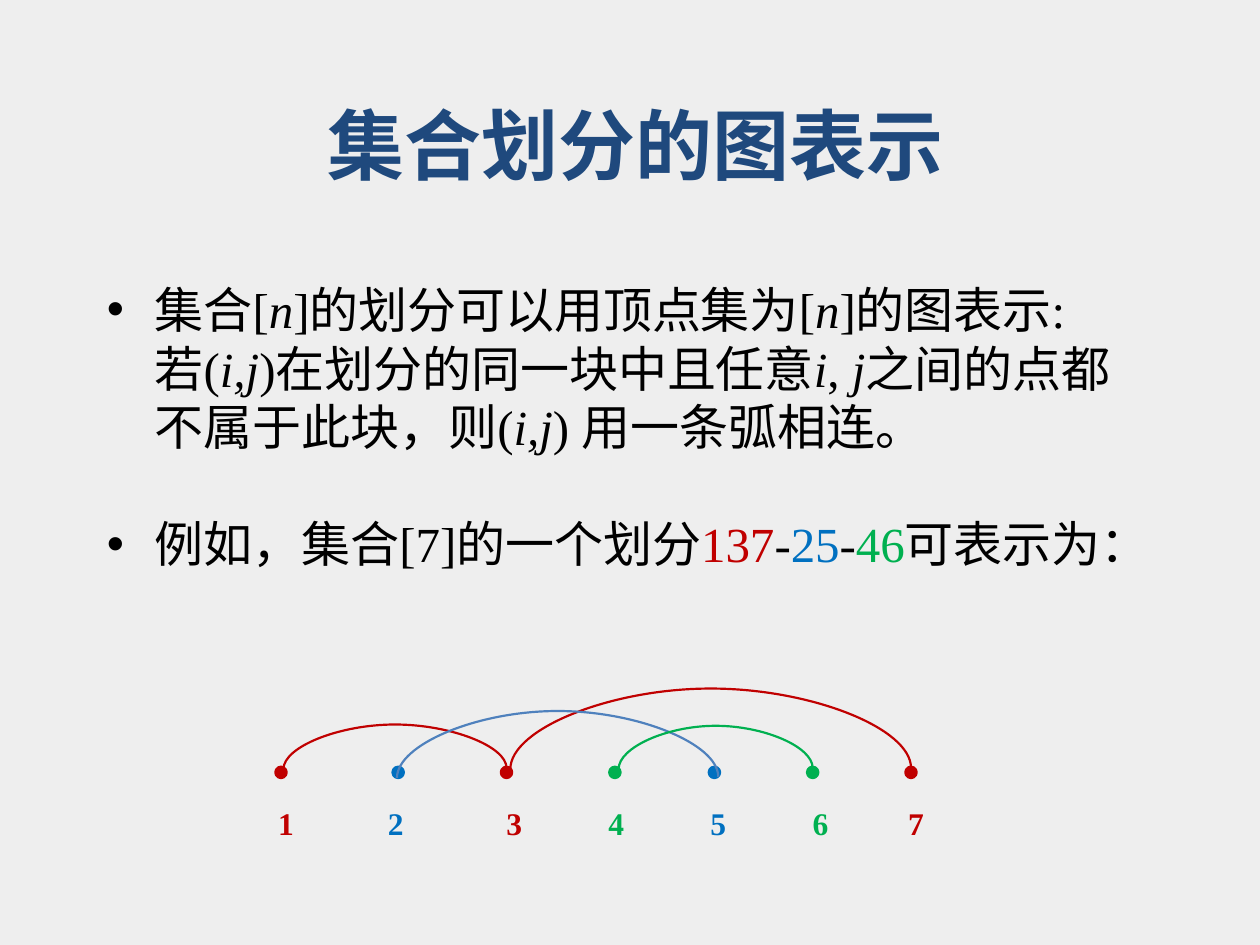
"""Build a slide on drawing set partitions as arc diagrams."""
from lxml import etree
from pptx import Presentation
from pptx.dml.color import RGBColor
from pptx.enum import shapes, text
from pptx.oxml.ns import qn
from pptx.util import Inches, Pt

BACKGROUND = RGBColor(0xEE, 0xEE, 0xEE)
NAVY = RGBColor(0x1F, 0x49, 0x7D)
BLACK = RGBColor(0, 0, 0)
RED = RGBColor(0xC0, 0, 0)
BLUE = RGBColor(0, 0x70, 0xC0)
STEEL = RGBColor(0x4F, 0x81, 0xBD)
GREEN = RGBColor(0, 0xB0, 0x50)

SERIF = "Times New Roman"
SANS = "Noto Sans CJK SC"
DOT = 0.08
DOT_TOP = 6.09
LABEL_LEFT = 1.8
TEXT_INSET = 0.1
ARC_RISE = 0.01

DEFINITION = [
    ("集合[", False), ("n", True), ("]的划分可以用顶点集为[", False),
    ("n", True), ("]的图表示:若(", False), ("i,j", True),
    (")在划分的同一块中且任意", False), ("i", True), (",", False),
    (" j", True), ("之间的点都不属于此块，则(", False), ("i,j", True),
    (") 用一条弧相连。", False),
]
EXAMPLE = [
    ("例如，集合[7]的一个划分", BLACK), ("137", RED), ("-", BLACK),
    ("25", BLUE), ("-", BLACK), ("46", GREEN), ("可表示为：", BLACK),
]
VERTICES = [
    (2.19, 2.21, RED), (3.12, 3.08, BLUE), (3.98, 4.02, RED),
    (4.84, 4.83, GREEN), (5.63, 5.64, BLUE), (6.41, 6.45, GREEN),
    (7.19, 7.21, RED),
]
ARCS = [
    (2.25, 4.02, 6.1, 5.74, RED), (4.05, 7.23, 6.1, 5.45, RED),
    (3.15, 5.7, 6.17, 5.63, STEEL), (4.91, 6.45, 6.1, 5.75, GREEN),
]


def add_run(paragraph, wording, color, **formats):
    """Append a run with the given colour and font values."""
    run = paragraph.add_run()
    run.text = wording
    run.font.color.rgb = color
    for name, value in formats.items():
        setattr(run.font, name, value)
    return run


def add_title(slide):
    """Place and format the title."""
    title = slide.shapes.title
    place = {"left": 0.55, "top": 0.31, "width": 9, "height": 1.25}
    for name, value in place.items():
        setattr(title, name, Inches(value))
    title.text_frame.vertical_anchor = text.MSO_ANCHOR.BOTTOM
    heading = title.text_frame.paragraphs[0]
    heading.alignment = text.PP_ALIGN.CENTER
    run = add_run(heading, "集合划分的图表示", NAVY,
                  name=SANS, size=Pt(44), bold=True)
    etree.SubElement(run.font._element, qn("a:ea"), typeface=SANS)


def add_text_frame(slide, left, top, width, height):
    """Add a wrapping text box and return its frame."""
    box = slide.shapes.add_textbox(*map(Inches, (left, top, width, height)))
    box.text_frame.word_wrap = True
    return box.text_frame


def make_bullet(paragraph):
    """Give a paragraph a hanging bullet and fixed line height."""
    paragraph.line_spacing = Pt(33.5)
    properties = paragraph._p.get_or_add_pPr()
    properties.set("marL", str(Inches(0.38)))
    properties.set("indent", str(-Inches(0.38)))
    etree.SubElement(properties, qn("a:buFont"), typeface="Arial")
    etree.SubElement(properties, qn("a:buChar"), char="•")


def add_explanation(slide):
    """Add the definition and the example."""
    frame = add_text_frame(slide, 0.75, 2.17, 8.16, 4.5)
    definition = frame.paragraphs[0]
    make_bullet(definition)
    for wording, italic in DEFINITION:
        add_run(definition, wording, BLACK,
                name=SERIF, size=Pt(28), italic=italic)
    example = frame.add_paragraph()
    example.space_before = Pt(33.5)
    make_bullet(example)
    for wording, color in EXAMPLE:
        add_run(example, wording, color, name=SERIF, size=Pt(28))


def add_vertex(slide, left, color):
    """Add one vertex dot."""
    dot = slide.shapes.add_shape(
        shapes.MSO_SHAPE.OVAL,
        *map(Inches, (left, DOT_TOP, DOT, DOT)))
    dot.shadow.inherit = False
    dot.fill.solid()
    dot.fill.fore_color.rgb = color
    dot.line.color.rgb = color
    dot.line.width = Pt(2)


def add_arc(slide, start, end, base, peak, color):
    """Add a curved connector that rises from base to peak."""
    middle, half = (start + end) / 2, (end - start) / 2
    arc = slide.shapes.add_connector(
        shapes.MSO_CONNECTOR.CURVE,
        Inches(middle + ARC_RISE / 2), Inches(base + half),
        Inches(middle - ARC_RISE / 2), Inches(base - half))
    arc.line.color.rgb = color
    arc.line.width = Pt(1.25)
    properties = arc._element.spPr
    properties.find(qn("a:xfrm")).set("rot", "5400000")
    guides = properties.find(qn("a:prstGeom")).get_or_add_avLst()
    bend = round((base - peak) / ARC_RISE * 100000)
    etree.SubElement(guides, qn("a:gd"), name="adj1", fmla=f"val {bend}")
    etree.SubElement(properties, qn("a:effectLst"))


def add_labels(slide):
    """Add the vertex numbers on tab stops."""
    frame = add_text_frame(slide, LABEL_LEFT, 6.33, 5.78, 0.4)
    numbers = frame.paragraphs[0]
    stops = etree.SubElement(numbers._p.get_or_add_pPr(), qn("a:tabLst"))
    for number, (_, left, color) in enumerate(VERTICES, 1):
        position = Inches(left - LABEL_LEFT - TEXT_INSET)
        etree.SubElement(stops, qn("a:tab"), pos=str(position), algn="l")
        add_run(numbers, f"\t{number}", color,
                name=SERIF, size=Pt(18), bold=True)


def main():
    """Build and save the slide."""
    deck = Presentation()
    deck.slide_width, deck.slide_height = Inches(10), Inches(7.5)
    slide = deck.slides.add_slide(deck.slide_layouts[5])
    slide.background.fill.solid()
    slide.background.fill.fore_color.rgb = BACKGROUND
    add_title(slide)
    add_explanation(slide)
    for left, _, color in VERTICES:
        add_vertex(slide, left, color)
    for arc in ARCS:
        add_arc(slide, *arc)
    add_labels(slide)
    deck.save("out.pptx")


if __name__ == "__main__":
    main()
